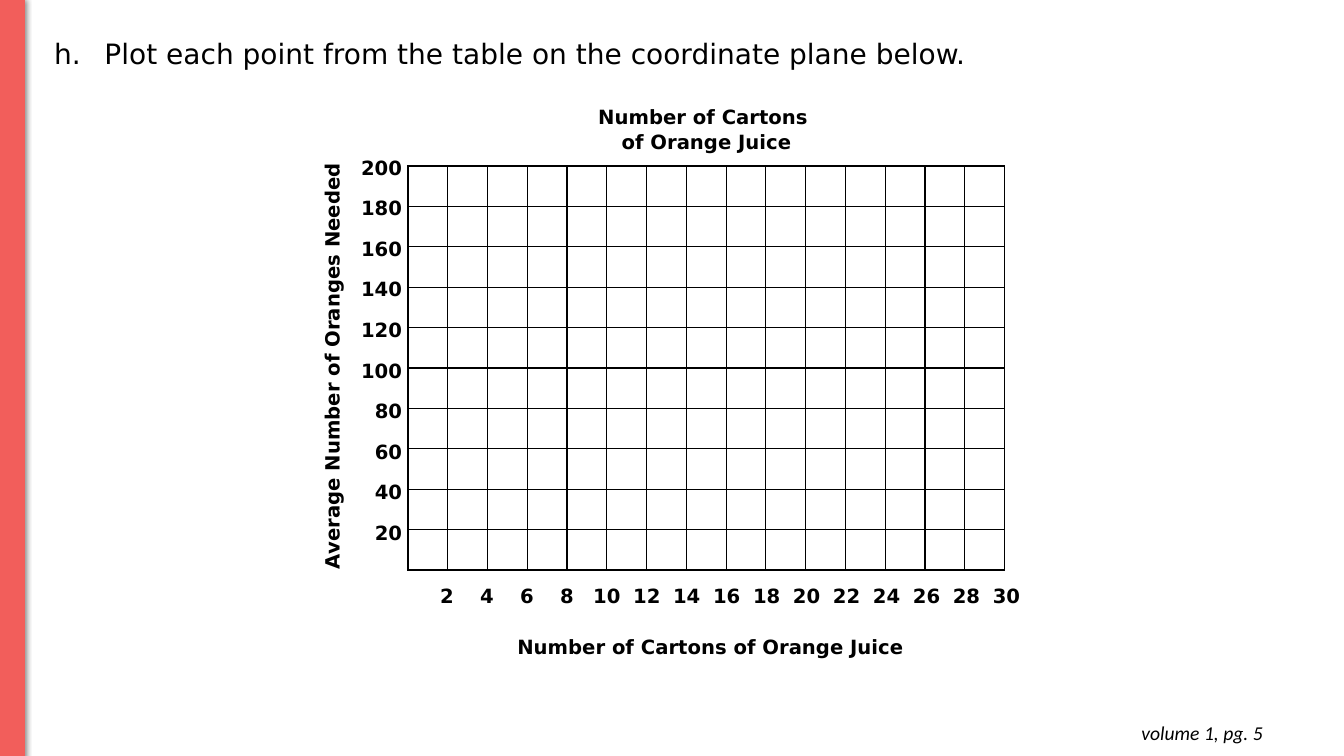
from lxml import etree
from pptx import Presentation
from pptx.dml.color import RGBColor
from pptx.enum.shapes import MSO_SHAPE
from pptx.enum.text import MSO_ANCHOR, MSO_AUTO_SIZE, PP_ALIGN
from pptx.oxml import parse_xml
from pptx.oxml.ns import qn
from pptx.util import Pt

RECT = MSO_SHAPE.RECTANGLE
LEFT, CENTER, RIGHT = PP_ALIGN.LEFT, PP_ALIGN.CENTER, PP_ALIGN.RIGHT
TOP = MSO_ANCHOR.TOP
SANS = "DejaVu Sans"
NS = 'xmlns:a="http://schemas.openxmlformats.org/drawingml/2006/main"'
PLAIN = "{2D5ABB26-0587-4C30-8999-92F81FD0307C}"
SCALE = 914400 / 100.8
hue = RGBColor.from_string


def px(*sizes):
    """Turn pixel lengths into a list of EMU."""
    return [round(size * SCALE) for size in sizes]


def style(par, align, size=14, bold=True, face=SANS):
    par.alignment = align
    for run in par.runs:
        font = run.font
        font.name, font.size, font.bold = face, Pt(size), bold
        font.color.rgb = hue("000000")


deck = Presentation()
deck.slide_width, deck.slide_height = px(1344, 756)
slide = deck.slides.add_slide(deck.slide_layouts[5])
shapes = slide.shapes

# Task
title = shapes.title
title.left, title.top, title.width, title.height = px(44, 31, 1281, 44)
frame = title.text_frame
frame.text = "Plot each point from the table on the coordinate plane below."
frame.vertical_anchor = TOP
frame.auto_size = MSO_AUTO_SIZE.NONE
par = frame.paragraphs[0]
props = par._p.get_or_add_pPr()
props.set("marL", "457200")
props.set("indent", "-457200")
color = etree.SubElement(props, qn("a:buClr"))
etree.SubElement(color, qn("a:srgbClr"), val="000000")
etree.SubElement(props, qn("a:buFont"), typeface=SANS)
etree.SubElement(props, qn("a:buAutoNum"), type="alphaLcPeriod", startAt="8")
style(par, LEFT, 20, False)

# Page reference
note = shapes.add_textbox(*px(983, 711, 290, 44))
frame = note.text_frame
frame.word_wrap = True
frame.margin_left, frame.margin_top, frame.margin_right, frame.margin_bottom = px(10, 10, 10, 10)
frame.text = "volume 1, pg. 5"
par = frame.paragraphs[0]
style(par, RIGHT, 14, False, "Calibri")
par.runs[0].font.italic = True

# Side bar
bar = shapes.add_shape(RECT, *px(0, -2, 25, 758))
bar.fill.solid()
bar.fill.fore_color.rgb = hue("F25E5B")
bar.line.color.rgb = hue("F25E5B")
bar.line.width = Pt(0.75)
bar._element.spPr.append(parse_xml(
    f'<a:effectLst {NS}><a:outerShdw blurRad="57150" dist="19050" dir="5400000" '
    'algn="ctr" rotWithShape="0"><a:srgbClr val="000000"><a:alpha val="50000"/>'
    '</a:srgbClr></a:outerShdw></a:effectLst>'))

# Coordinate plane and the numbers below it
steps = [str(num) for num in range(2, 31, 2)]
for spot, rows, texts, edged in (
    ((408, 166, 597, 404), 10, [""] * 15, True),
    ((427, 580, 600, 41), 1, steps, False),
):
    box = shapes.add_table(rows, len(texts), *px(*spot))
    box._element.find(".//" + qn("a:tableStyleId")).text = PLAIN
    grid = box.table
    grid.first_row = grid.horz_banding = False
    for row in grid.rows:
        for cell, text in zip(row.cells, texts):
            cell.margin_left = cell.margin_right = 0
            cell.margin_top = cell.margin_bottom = px(0 if edged else 5)[0]
            if edged:
                for side in "LRTB":
                    cell._tc.get_or_add_tcPr().append(parse_xml(
                        f'<a:ln{side} {NS} w="12700"><a:solidFill>'
                        f'<a:srgbClr val="000000"/></a:solidFill></a:ln{side}>'))
            cell.fill.background()
            cell.text = text
            style(cell.text_frame.paragraphs[0], CENTER)

# Chart and axis titles
for text, spot, turn in (
    ("Number of Cartons \vof Orange Juice", (412, 98, 589, 66), 0),
    ("Average Number of Oranges Needed", (83, 347, 499, 38), 270),
    ("Number of Cartons of Orange Juice", (383, 628, 655, 44), 0),
):
    label = shapes.add_shape(RECT, *px(*spot))
    label.rotation = turn
    label.shadow.inherit = False
    label.fill.solid()
    label.fill.fore_color.rgb = hue("FFFFFF")
    label.line.fill.background()
    frame = label.text_frame
    frame.vertical_anchor = TOP
    par = frame.paragraphs[0]
    par.text = text
    par.line_spacing = 1.07
    par.space_after = Pt(8)
    style(par, CENTER)

# Numbers up the side
scale = shapes.add_textbox(*px(346, 149, 66, 430))
frame = scale.text_frame
frame.word_wrap = True
frame.text = "\n".join(str(num) for num in range(200, 0, -20))
for num, par in enumerate(frame.paragraphs):
    par.line_spacing = 1.07
    par.space_before = Pt(3 if num else 0)
    par.space_after = Pt(8)
    style(par, RIGHT)

deck.save("out.pptx")
